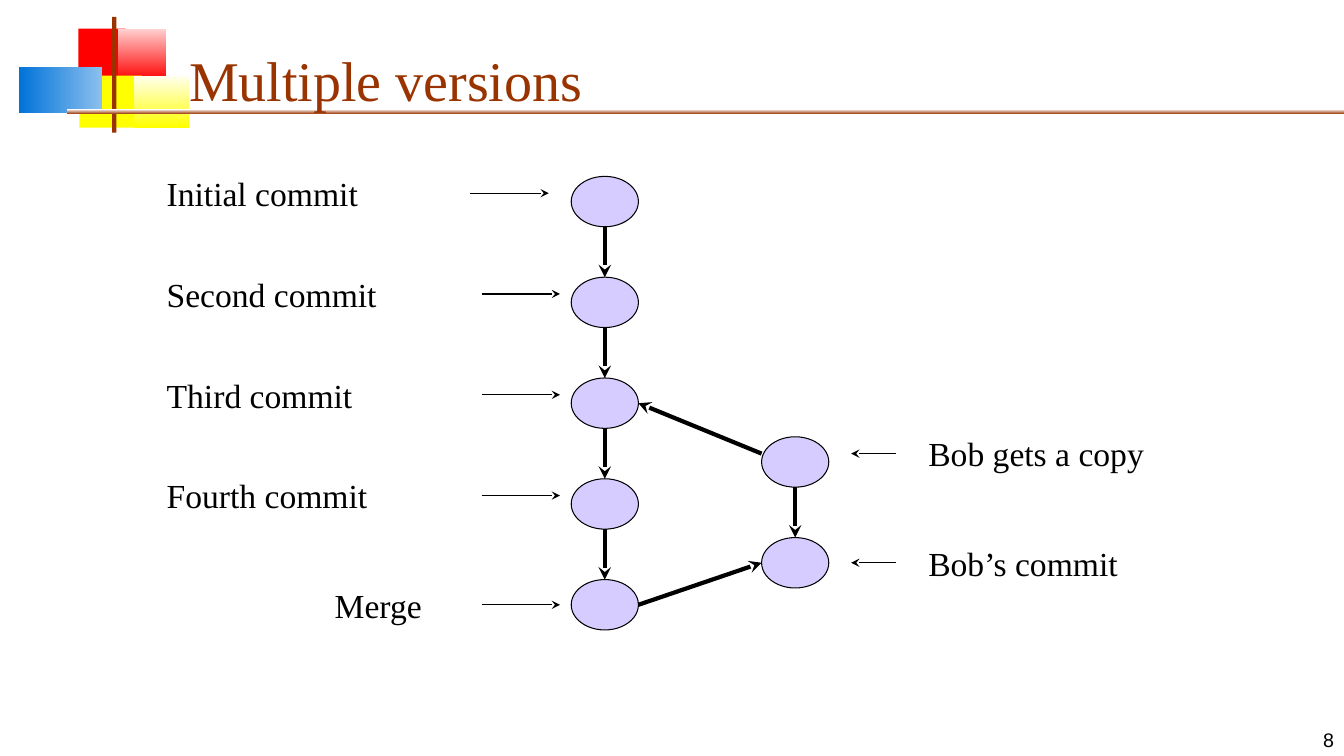
import pptx
import pptx.dml.color
import pptx.enum.shapes
import pptx.enum.text
import pptx.oxml.ns
import pptx.util
from lxml import etree

SLIDE_WIDTH = pptx.util.Inches(13.33)
SLIDE_HEIGHT = pptx.util.Inches(7.5)
COLUMNS, ROWS = 12, 9
BLACK, BROWN, LILAC = "000000", "993300", "D6CCFF"
SERIF = "Times New Roman"
NODE_WIDTH, NODE_HEIGHT = 0.6, 0.6
ROW_STEP = 1.2
MAIN_CENTER, BRANCH_CENTER = 5.4, 7.1
MAIN_ROWS = [2.4 + ROW_STEP * index for index in range(5)]
BRANCH_ROWS = [5.5 + ROW_STEP * index for index in range(2)]
LABEL_HEIGHT = 0.6

DECORATIONS = [
    (0.7, 0.34, 0.42, 0.62, ["FF0000"], 0),
    (1.05, 0.34, 0.43, 0.62, ["FF0000", "FFD1D1"], 90),
    (0.71, 0.9, 0.56, 0.62, ["FFFF00"], 0),
    (1.2, 0.9, 0.49, 0.62, ["FFFF00", "FFFFF0"], 90),
    (0.17, 0.8, 0.74, 0.55, ["8BBFEE", "0073D9"], 180),
    (1, 0.2, 0.04, 1.38, [BROWN], 0),
    (0.6, 1.3, 11.4, 0.06, [BROWN, "FFFFFF"], 90),
]

LABELS = [
    ("Initial commit", 1.4, 2, 2.8, 4.2, 4.9),
    ("Second commit", 1.4, 3.2, 2.9, 4.3, 5),
    ("Third commit", 1.4, 4.4, 2.9, 4.3, 5),
    ("Fourth commit", 1.4, 5.6, 2.9, 4.3, 5),
    ("Merge", 2.9, 6.9, 1.4, 4.3, 5),
    ("Bob gets a copy", 8.2, 5.1, 2.84, 8, 7.6),
    ("Bob’s commit", 8.2, 6.4, 2.52, 8, 7.6),
]


def column(count):
    return round(SLIDE_WIDTH * count / COLUMNS)


def row(count):
    return round(SLIDE_HEIGHT * count / ROWS)


def color(value):
    return pptx.dml.color.RGBColor.from_string(value)


def add_filled_shape(slide, kind, left, top, width, height, colors, angle=0):
    shape = slide.shapes.add_shape(
        kind, column(left), row(top), column(width), row(height))
    shape.shadow.inherit = False
    shape.line.fill.background()
    if len(colors) == 1:
        shape.fill.solid()
        shape.fill.fore_color.rgb = color(colors[0])
    else:
        shape.fill.gradient()
        shape.fill.gradient_angle = angle
        for stop, value in zip(shape.fill.gradient_stops, colors):
            stop.color.rgb = color(value)
    return shape


def add_text(slide, text, left, top, width, height, size, font=SERIF, ink=BLACK,
             anchor=pptx.enum.text.MSO_ANCHOR.TOP,
             alignment=pptx.enum.text.PP_ALIGN.LEFT):
    box = slide.shapes.add_textbox(
        column(left), row(top), column(width), row(height))
    frame = box.text_frame
    frame.word_wrap = True
    frame.vertical_anchor = anchor
    frame.text = text
    paragraph = frame.paragraphs[0]
    paragraph.alignment = alignment
    paragraph.font.size = pptx.util.Pt(size)
    paragraph.font.name = font
    paragraph.font.color.rgb = color(ink)
    for run in paragraph.runs:
        run.font.size = pptx.util.Pt(size)
        run.font.name = font
        run.font.color.rgb = color(ink)


def add_arrow(slide, start, end, weight):
    connector = slide.shapes.add_connector(
        pptx.enum.shapes.MSO_CONNECTOR.STRAIGHT,
        column(start[0]), row(start[1]), column(end[0]), row(end[1]))
    connector.line.color.rgb = color(BLACK)
    connector.line.width = pptx.util.Pt(weight)
    qualified = pptx.oxml.ns.qn
    line = connector.line._get_or_add_ln()
    etree.SubElement(line, qualified("a:tailEnd"), type="stealth")
    etree.SubElement(connector._element.spPr, qualified("a:effectLst"))


def add_commit(slide, center, middle):
    node = add_filled_shape(
        slide, pptx.enum.shapes.MSO_SHAPE.OVAL,
        center - NODE_WIDTH / 2, middle - NODE_HEIGHT / 2,
        NODE_WIDTH, NODE_HEIGHT, [LILAC])
    node.line.color.rgb = color(BLACK)
    node.line.width = pptx.util.Pt(0.75)


def add_history(slide, center, middles):
    for middle in middles:
        add_commit(slide, center, middle)
    for upper, lower in zip(middles, middles[1:]):
        add_arrow(slide, (center, upper + NODE_HEIGHT / 2),
                  (center, lower - NODE_HEIGHT / 2), 3)


def add_label(slide, text, left, top, width, pointer_start, pointer_end):
    add_text(slide, text, left, top, width, LABEL_HEIGHT, 24)
    middle = top + LABEL_HEIGHT / 2
    add_arrow(slide, (pointer_start, middle), (pointer_end, middle), 0.75)


def main():
    presentation = pptx.Presentation()
    presentation.slide_width = SLIDE_WIDTH
    presentation.slide_height = SLIDE_HEIGHT
    slide = presentation.slides.add_slide(presentation.slide_layouts[6])
    bottom = pptx.enum.text.MSO_ANCHOR.BOTTOM
    for decoration in DECORATIONS:
        add_filled_shape(slide, pptx.enum.shapes.MSO_SHAPE.RECTANGLE, *decoration)
    add_text(slide, "Multiple versions", 1.6, 0.3, 10.22, 1.1, 40,
             ink=BROWN, anchor=bottom)
    add_text(slide, "8", 9.5, 8.4, 2.5, 0.6, 14, font="Arial", anchor=bottom,
             alignment=pptx.enum.text.PP_ALIGN.RIGHT)
    add_history(slide, MAIN_CENTER, MAIN_ROWS)
    add_history(slide, BRANCH_CENTER, BRANCH_ROWS)
    main_side = MAIN_CENTER + NODE_WIDTH / 2
    branch_side = BRANCH_CENTER - NODE_WIDTH / 2
    add_arrow(slide, (branch_side, 5.4), (main_side, MAIN_ROWS[2]), 3)
    add_arrow(slide, (main_side, MAIN_ROWS[4]), (branch_side, BRANCH_ROWS[1]), 3)
    for label in LABELS:
        add_label(slide, *label)
    presentation.save("out.pptx")


if __name__ == "__main__":
    main()
